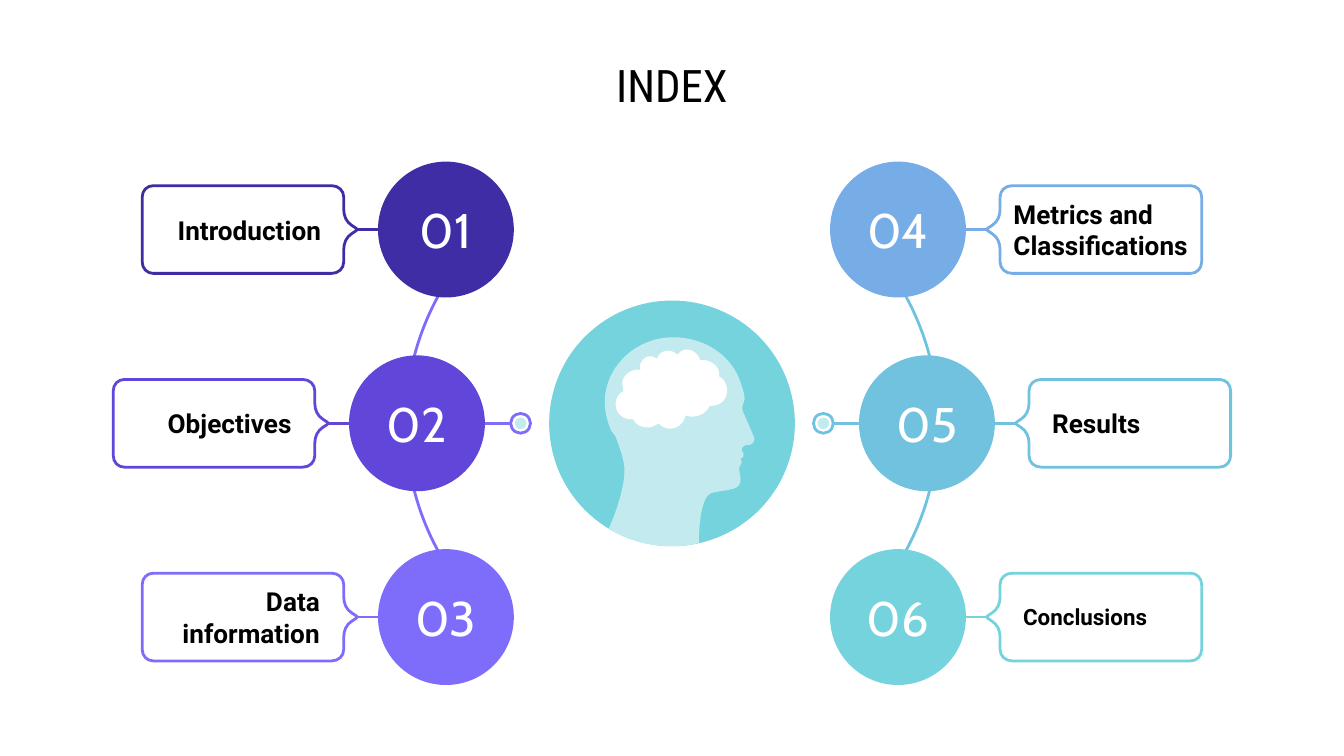
from itertools import pairwise

from lxml.etree import SubElement
from pptx import Presentation
from pptx.dml.color import RGBColor
from pptx.enum.shapes import MSO_CONNECTOR as Connector, MSO_SHAPE as Shape
from pptx.enum.text import MSO_ANCHOR as Anchor, PP_ALIGN as Align
from pptx.oxml.ns import qn
from pptx.util import Pt

COLORS = {
    "black": "000000", "white": "FFFFFF", "indigo": "3F2DA5", "purple": "6146D9",
    "violet": "7E6CFB", "blue": "77ADE6", "sky": "70C2DF", "teal": "74D3DC", "pale": "C3EBEF",
}
CENTER_X, MIDDLE_Y, ROW_STEP = 360, 226.8, 103.8
LEFT, RIGHT = -1, 1
CIRCLE_OFFSETS = (121.1, 136.6, 121.1)  # from the slide centre, by row
CIRCLE_SIZE, TIP_GAP = 72.8, 47.5

# side, row, number, colour, label, label left, label width, label size
TOPICS = [
    (LEFT, 0, "01", "indigo", "Introduction", 80.6, 98.6, 14),
    (LEFT, 1, "02", "purple", "Objectives", 64.8, 98.6, 14),
    (LEFT, 2, "03", "violet", "Data information", 79.9, 98.6, 14),
    (RIGHT, 0, "04", "blue", "Metrics and Classifications", 535.8, 113.8, 14),
    (RIGHT, 1, "05", "sky", "Results", 556.6, 98.6, 14),
    (RIGHT, 2, "06", "teal", "Conclusions", 541, 98.6, 12),
]

# Outlines: a start point, then line ends (2 numbers) or cubic curves (6 numbers).
ARC = [
    (104.4, 97.2), (128.2, 72, 142.6, 37.4, 142.6, 0),
    (142.6, -37.4, 128.2, -71.3, 104.4, -97.2),
]
HALF_CALLOUT = [
    (0.5, -0.6), (2.9, -2.2), (5.8, -4, 7.2, -7.2, 7.2, -10.8), (7.2, -17.3),
    (7.2, -20.9, 10, -23.5, 13.7, -23.5), (109.2, -23.5),
    (112.6, -23.5, 115.2, -20.9, 115.2, -17.3),
]
CALLOUT_TIP = (0, 0.3, 0, -0.3, 0.5, -0.6)
HEAD = [
    (360.7, 180.7), (340.6, 180.7, 324, 196.6, 324, 215.3),
    (324, 221, 325.4, 226.1, 327.6, 231.1), (328.3, 231.8, 329, 232.6, 329.8, 234),
    (330.5, 236.2, 332.6, 240.5, 334.1, 247.7), (336.2, 256.3, 330.5, 273.6, 326.2, 283),
    (335.5, 289.4, 347.8, 292.6, 360, 292.6), (365, 292.6, 370.1, 292, 374.4, 290.9),
    (374.4, 280.8, 375.8, 266.4, 380.9, 264.2), (385.9, 262.8, 393.1, 262.8, 395.3, 260.6),
    (398.2, 257.8, 396, 254.2, 396, 252), (395.3, 249.8, 397.4, 249.1, 397.4, 247.7),
    (397.4, 246.2, 396, 246.2, 396.7, 246.2), (396.7, 245.5, 397.4, 245.5, 398.2, 244.8),
    (398.9, 244.1, 398.2, 242.6, 397.4, 241.2), (397.4, 239, 398.9, 238.3, 401.8, 238.3),
    (403.9, 237.6, 404.6, 235.4, 403.9, 234), (403.2, 232.6, 400.3, 225.4, 398.2, 221),
    (396.7, 216.7, 398.9, 216, 398.9, 213.8), (398.9, 211.7, 398.2, 208.8, 396, 203),
    (391, 190.1, 377.3, 180.7, 360.7, 180.7),
]
BRAIN = [
    (367.9, 187.2), (365.8, 187.2, 364.3, 188.6, 362.9, 190.1),
    (361.4, 188.6, 360, 187.9, 357.8, 187.9), (355, 187.9, 352.8, 189.4, 352.1, 192.2),
    (350.6, 191.5, 349.9, 190.8, 348.5, 190.8), (345.6, 190.8, 342.7, 193.7, 342.7, 196.6),
    (342.7, 197.3, 343.4, 198, 343.4, 198), (342.7, 198, 342, 198, 342, 198),
    (337, 198, 333.4, 201.6, 333.4, 205.9), (333.4, 207.4, 334.1, 208.1, 334.1, 209.5),
    (331.9, 210.2, 329.8, 213.1, 329.8, 216.7), (329.8, 221, 333.4, 224.6, 337.7, 224.6),
    (338.4, 224.6, 338.4, 224.6, 339.1, 224.6), (340.6, 227.5, 343.4, 229, 347, 229),
    (349.2, 229, 350.6, 228.2, 352.8, 226.8), (354.2, 228.2, 356.4, 229.7, 358.6, 229.7),
    (362.9, 229.7, 366.5, 226.8, 367.2, 222.5), (368.6, 223.2, 370.1, 223.2, 370.8, 223.2),
    (375.1, 223.2, 378.7, 221, 380.2, 217.4), (380.9, 217.4, 380.9, 217.4, 381.6, 217.4),
    (385.9, 217.4, 389.5, 213.8, 389.5, 209.5), (389.5, 205.9, 388.1, 203, 385.2, 201.6),
    (385.9, 197.3, 382.3, 193.7, 378, 193), (376.6, 193, 375.8, 193, 375.1, 193),
    (374.4, 190.1, 371.5, 187.2, 367.9, 187.2),
]


def rgb(color):
    return RGBColor.from_string(COLORS[color])


def pairs(segment):
    return list(zip(segment[::2], segment[1::2]))


def place(outline, x, y, side):
    """Move an outline to x, y and mirror it for the left side."""
    return [sum(((x + side * dx, y + dy) for dx, dy in pairs(segment)), ())
            for segment in outline]


def callout_outline():
    """Join the upper half, its reflection and the rounded tip."""
    full = list(HALF_CALLOUT)
    full.append((115.2, 17.3))
    for before, segment in reversed(list(pairwise(HALF_CALLOUT))):
        back = segment[2:-2] + segment[:-4] + before[-2:]
        full.append(sum(((x, -y) for x, y in pairs(back)), ()))
    return full + [CALLOUT_TIP]


def paint(shape, fill=None, line=None):
    shape.shadow.inherit = False
    for part, color in ((shape.fill, fill), (shape.line.fill, line)):
        if color:
            part.solid()
            part.fore_color.rgb = rgb(color)
        else:
            part.background()
    if line:
        shape.line.width = Pt(1.5)


def add_outline(page, outline, fill=None, line=None, close=True):
    """Draw the end points as a freeform, then bend its curved segments."""
    ends = [(Pt(segment[-2]), Pt(segment[-1])) for segment in outline]
    builder = page.shapes.build_freeform(*ends[0])
    builder.add_line_segments(ends[1:], close=close)
    shape = builder.convert_to_shape()
    strokes = list(shape.element.iter(qn("a:lnTo")))
    for stroke, segment in zip(strokes, outline[1:]):
        if len(segment) == 6:
            stroke.tag = qn("a:cubicBezTo")
            stroke.remove(stroke[0])
            for x, y in pairs(segment):
                SubElement(stroke, qn("a:pt"), x=str(Pt(x) - shape.left), y=str(Pt(y) - shape.top))
    paint(shape, fill, line)


def add_circle(page, x, y, size, fill=None, line=None):
    circle = page.shapes.add_shape(
        Shape.OVAL, Pt(x - size / 2), Pt(y - size / 2), Pt(size), Pt(size))
    paint(circle, fill, line)


def add_link(page, start_x, end_x, y, color):
    link = page.shapes.add_connector(Connector.STRAIGHT, Pt(start_x), Pt(y), Pt(end_x), Pt(y))
    link.line.color.rgb = rgb(color)
    link.line.width = Pt(1.5)
    SubElement(link.element.spPr, qn("a:effectLst"))


def add_text(page, text, left, middle, width, height, font, size,
             color="black", align=Align.CENTER, bold=False):
    box = page.shapes.add_textbox(Pt(left), Pt(middle - height / 2), Pt(width), Pt(height))
    frame = box.text_frame
    frame.word_wrap = True
    frame.vertical_anchor = Anchor.MIDDLE
    frame.margin_left = frame.margin_right = frame.margin_top = frame.margin_bottom = Pt(7.2)
    frame.text = text
    para = frame.paragraphs[0]
    para.alignment = align
    span = para.runs[0]
    span.font.name, span.font.size, span.font.bold = font, Pt(size), bold
    span.font.color.rgb = rgb(color)


def add_node(page, side, color):
    """Small ring beside the head, tied to the middle circle."""
    add_link(page, CENTER_X + side * 105.8, CENTER_X + side * 86.4, MIDDLE_Y, color)
    ring_x = CENTER_X + side * 81.1
    add_circle(page, ring_x, MIDDLE_Y, 10.6, line=color)
    add_circle(page, ring_x, MIDDLE_Y, 6.2, fill="pale")


def add_topic(page, side, row, number, color, label, left, width, size):
    y = MIDDLE_Y + (row - 1) * ROW_STEP
    circle_x = CENTER_X + side * CIRCLE_OFFSETS[row]
    tip_x = circle_x + side * TIP_GAP
    add_link(page, tip_x, tip_x - side * 12.2, y, color)
    add_outline(page, place(callout_outline(), tip_x, y, side), line=color)
    add_circle(page, circle_x, y, CIRCLE_SIZE, fill=color)
    add_text(page, number, circle_x - 26.3, y, 52.6, 36, "Cabin", 26, "white")
    add_text(page, label, left, y, width, 36, "Roboto", size,
             align=Align.RIGHT if side == LEFT else Align.LEFT, bold=True)


def main():
    deck = Presentation()
    deck.slide_width, deck.slide_height = Pt(720), Pt(405)
    page = deck.slides.add_slide(deck.slide_layouts[6])
    add_text(page, "INDEX", 36, 45.4, 648, 26, "Roboto Condensed", 24)
    for side, color in ((RIGHT, "sky"), (LEFT, "violet")):
        add_outline(page, place(ARC, CENTER_X, MIDDLE_Y, side), line=color, close=False)
        add_node(page, side, color)
    add_circle(page, CENTER_X, MIDDLE_Y, 131.6, fill="teal")
    add_outline(page, HEAD, fill="pale")
    add_outline(page, BRAIN, fill="white")
    for topic in TOPICS:
        add_topic(page, *topic)
    deck.save("out.pptx")


if __name__ == "__main__":
    main()
